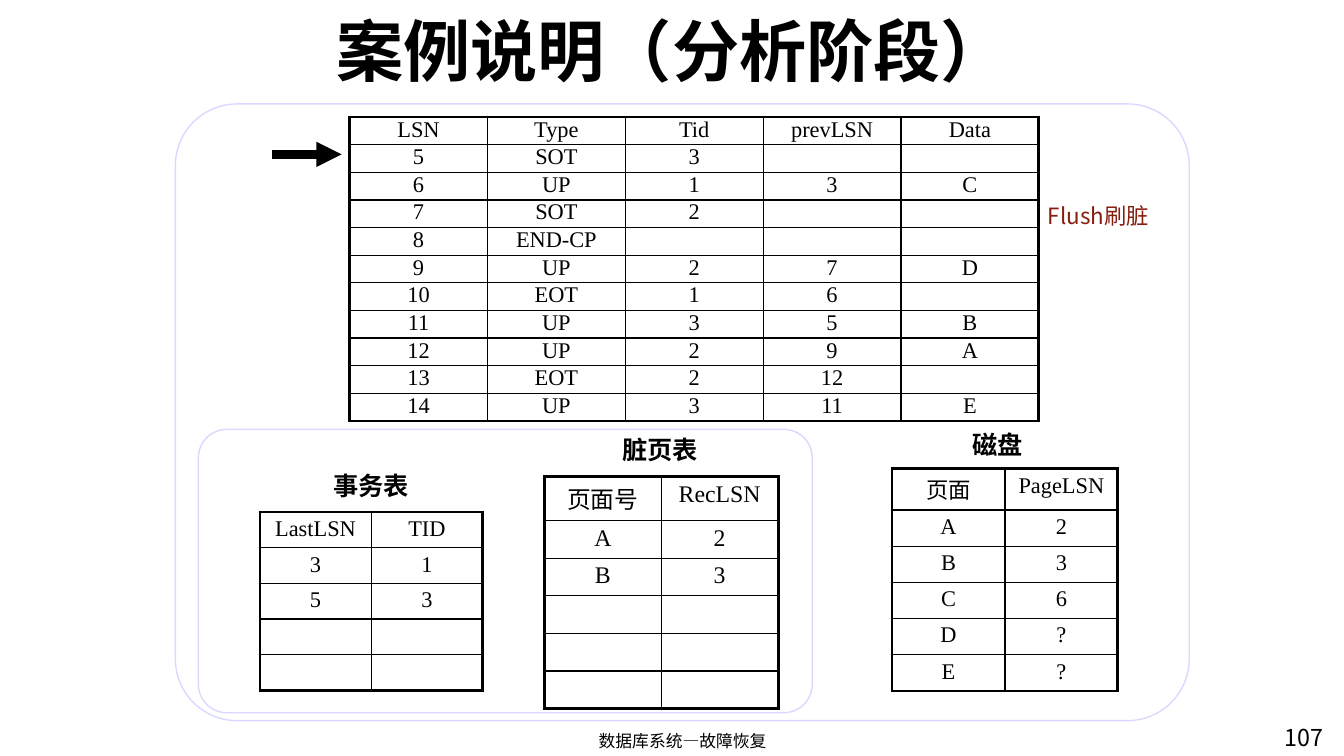
from dataclasses import dataclass

from lxml import etree
from pptx import Presentation
from pptx.dml.color import RGBColor
from pptx.enum.shapes import MSO_CONNECTOR, MSO_SHAPE
from pptx.enum.text import MSO_ANCHOR, MSO_AUTO_SIZE, PP_ALIGN
from pptx.oxml.ns import qn
from pptx.util import Cm, Pt

ROUND = MSO_SHAPE.ROUNDED_RECTANGLE
LINE = MSO_CONNECTOR.STRAIGHT
MID = MSO_ANCHOR.MIDDLE
FIXED = MSO_AUTO_SIZE.NONE
LEFT, CENTER = PP_ALIGN.LEFT, PP_ALIGN.CENTER


@dataclass(frozen=True)
class Theme:
    """Colours, fonts and type sizes of the slide."""
    ink: str = "000000"
    paper: str = "FFFFFF"
    frame: str = "D9D9FF"
    note: str = "861F10"
    sans: str = "Noto Sans CJK SC"
    serif: str = "Times New Roman"
    title: float = 48
    label: float = 18
    large: float = 17
    page: float = 16.6
    body: float = 16
    foot: float = 12
    thick: float = 2.25
    thin: float = 1
    shaft: float = 6


T = Theme()

LOG = [
    ["LSN", "Type", "Tid", "prevLSN", "Data"],
    ["5", "SOT", "3", "", ""],
    ["6", "UP", "1", "3", "C"],
    ["7", "SOT", "2", "", ""],
    ["8", "END-CP", "", "", ""],
    ["9", "UP", "2", "7", "D"],
    ["10", "EOT", "1", "6", ""],
    ["11", "UP", "3", "5", "B"],
    ["12", "UP", "2", "9", "A"],
    ["13", "EOT", "2", "12", ""],
    ["14", "UP", "3", "11", "E"],
]
TRANS = [["LastLSN", "TID"], ["3", "1"], ["5", "3"], ["", ""], ["", ""]]
DIRTY = [["页面号", "RecLSN"], ["A", "2"], ["B", "3"]] + [["", ""]] * 3
DISK = [["页面", "PageLSN"], ["A", "2"], ["B", "3"], ["C", "6"], ["D", "?"], ["E", "?"]]


def put(item, **vals):
    """Set each named value on the item."""
    for name, val in vals.items():
        setattr(item, name, val)


def place(box, dx, dy, wide, high):
    """Return a box offset from the corner of another box."""
    return box[0] + dx, box[1] + dy, wide, high


def write(para, words, size, face=T.sans, color=T.ink, bold=False, align=LEFT):
    """Write one formatted run into a paragraph."""
    para.alignment = align
    run = para.add_run()
    run.text = words
    put(run.font, size=Pt(size), name=face, bold=bold)
    run.font.color.rgb = RGBColor.from_string(color)
    etree.SubElement(run.font._element, qn("a:ea"), typeface=face)


def label(slide, box, words, size, wrap=False, **form):
    """Add a text box with one line of words."""
    frame = slide.shapes.add_textbox(*map(Cm, box)).text_frame
    frame.word_wrap = wrap
    write(frame.paragraphs[0], words, size, **form)
    return frame


def edge(cell, sides):
    """Draw the borders of a cell from a dict of side to width."""
    props = cell._tc.get_or_add_tcPr()
    for spot, (side, width) in enumerate(sides.items()):
        line = etree.Element(qn("a:ln" + side), w=str(Pt(width)))
        fill = etree.SubElement(line, qn("a:solidFill"))
        etree.SubElement(fill, qn("a:srgbClr"), val=T.ink)
        props.insert(spot, line)


def grid(slide, box, rows, head, size=T.body, pad=(0.23, 0.11)):
    """Add a ruled table with a heavy outer border."""
    last, end = len(rows) - 1, len(rows[0]) - 1
    table = slide.shapes.add_table(last + 1, end + 1, *map(Cm, box)).table
    put(table, first_row=False, horz_banding=False)
    side, top = map(Cm, pad)
    for i, row in enumerate(rows):
        table.rows[i].height = Cm((box[3] - head) / last if i else head)
        for j, word in enumerate(row):
            cell = table.cell(i, j)
            put(cell, margin_left=side, margin_right=side, margin_top=top, margin_bottom=top)
            cell.fill.solid()
            cell.fill.fore_color.rgb = RGBColor.from_string(T.paper)
            outer = {"L": j == 0, "R": j == end, "T": i == 0, "B": i == last}
            edge(cell, {k: T.thick if v else T.thin for k, v in outer.items()})
            para = cell.text_frame.paragraphs[0]
            if word:
                face = T.serif if word.isascii() else T.sans
                write(para, word, size, face, align=CENTER)
            else:
                para._p.get_or_add_endParaRPr().set("sz", str(int(size * 100)))


def panel(slide, box):
    """Add a rounded frame that fills the box."""
    shape = slide.shapes.add_shape(ROUND, *map(Cm, box))
    shape.adjustments[0] = 0.1
    shape.shadow.inherit = False
    shape.fill.solid()
    shape.fill.fore_color.rgb = RGBColor.from_string(T.paper)
    shape.line.color.rgb = RGBColor.from_string(T.frame)
    shape.line.width = Pt(T.thin)


def arrow(slide, x, y, wide):
    """Add a heavy arrow pointing right."""
    line = slide.shapes.add_connector(LINE, Cm(x), Cm(y), Cm(x + wide), Cm(y))
    line.line.color.rgb = RGBColor.from_string(T.ink)
    line.line.width = Pt(T.shaft)
    etree.SubElement(line.line._get_or_add_ln(), qn("a:tailEnd"), type="triangle")
    etree.SubElement(line._element.spPr, qn("a:effectLst"))


def heading(slide, box, words):
    """Fill and place the title."""
    title = slide.shapes.title
    put(title, **dict(zip(("left", "top", "width", "height"), map(Cm, box))))
    put(title.text_frame, vertical_anchor=MID, auto_size=FIXED, word_wrap=True)
    write(title.text_frame.paragraphs[0], words, T.title, bold=True, align=CENTER)


def journal(slide, box):
    """Place the log table, its pointer and the flush note."""
    arrow(slide, box[0], box[1] + 0.94, 1.75)
    grid(slide, place(box, 1.95, 0, 17.37, box[3]), LOG, box[3] / len(LOG), pad=(0.13, 0))
    note = place(box, 19.3, 2.13, 3.07, 0.94)
    frame = label(slide, note, "Flush刷脏", T.body, wrap=True, color=T.note)
    frame.paragraphs[0].line_spacing = 0.85


def state(slide, box):
    """Place the transaction table and the dirty page table in a frame."""
    panel(slide, box)
    label(slide, place(box, 3.15, 0.91, 2.44, 1.02), "事务表", T.label, bold=True)
    grid(slide, place(box, 1.55, 2.08, 5.61, 4.5), TRANS, 0.9)
    label(slide, place(box, 10.44, 0, 2.44, 1.02), "脏页表", T.label, bold=True)
    grid(slide, place(box, 8.72, 1.19, 5.89, 5.85), DIRTY, 1.11, T.large)


def disk(slide, box):
    """Place the disk table under its label."""
    label(slide, place(box, 1.78, 0, 2.11, 1.02), "磁盘", T.label, bold=True)
    grid(slide, place(box, 0, 1.12, box[2], 5.6), DISK, 1.04)


def footer(slide, box):
    """Place the course name and the page number."""
    label(slide, place(box, 0, 0.18, 10.69, 0.76), "数据库系统—故障恢复", T.foot,
          wrap=True, align=CENTER)
    label(slide, place(box, 20.27, 0, 1.7, box[3]), "107", T.page)


def main():
    """Build the slide and save it."""
    deck = Presentation()
    put(deck, slide_width=Cm(33.87), slide_height=Cm(19.05))
    slide = deck.slides.add_slide(deck.slide_layouts[5])
    panel(slide, (4.42, 2.62, 25.55, 15.54))
    heading(slide, (2.92, 0.3, 28.04, 1.88), "案例说明（分析阶段）")
    journal(slide, (6.86, 2.95, 22.37, 7.66))
    state(slide, (5, 10.82, 15.47, 7.14))
    disk(slide, (22.48, 10.69, 5.69, 6.72))
    footer(slide, (11.86, 18.11, 21.97, 0.94))
    deck.save("out.pptx")


if __name__ == "__main__":
    main()
